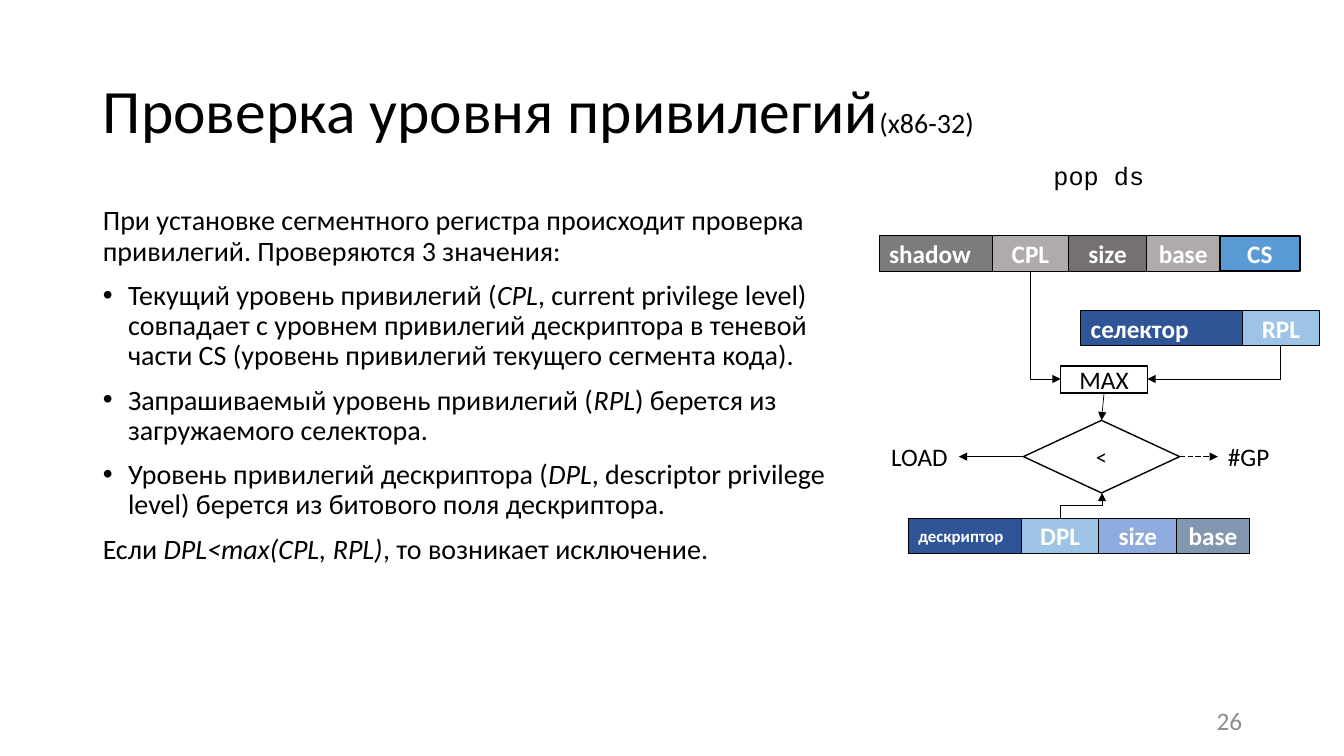
from itertools import pairwise

from pptx import Presentation
from pptx.dml.color import RGBColor
from pptx.enum.dml import MSO_LINE
from pptx.enum.shapes import MSO_CONNECTOR, MSO_SHAPE
from pptx.enum.text import MSO_ANCHOR, MSO_AUTO_SIZE, PP_ALIGN
from pptx.oxml.ns import qn
from pptx.oxml.xmlchemy import OxmlElement
from pptx.util import Inches, Pt

LEFT, MID, RIGHT = PP_ALIGN.LEFT, PP_ALIGN.CENTER, PP_ALIGN.RIGHT
RECT, DIAMOND = MSO_SHAPE.RECTANGLE, MSO_SHAPE.DIAMOND
DASH = MSO_LINE.LONG_DASH
ELBOW, STRAIGHT = MSO_CONNECTOR.ELBOW, MSO_CONNECTOR.STRAIGHT
FIT, FIXED = MSO_AUTO_SIZE.SHAPE_TO_FIT_TEXT, MSO_AUTO_SIZE.NONE
TOP, MIDDLE = MSO_ANCHOR.TOP, MSO_ANCHOR.MIDDLE

COLORS = {
    "black": "000000", "white": "FFFFFF", "mute": "8C8C8C",
    "gray": "7C7C7C", "pale": "AFABAB", "dark": "767171",
    "blue": "5B9BD5", "navy": "2F5597", "sky": "9DC3E6",
    "lilac": "8FAADC", "slate": "8497B0",
}
ROW = 0.35
ROWS = [
    (2.34, [8.72, 9.84, 10.6, 11.37, 12.1, 12.89],
     [("shadow", "gray"), ("СPL", "pale"), ("size", "dark"),
      ("base", "pale"), ("CS", "blue")]),
    (3.08, [10.72, 12.32, 13.09], [("селектор", "navy"), ("RPL", "sky")]),
    (5.14, [9.01, 10.13, 10.9, 11.67, 12.39],
     [("дескриптор", "navy"), ("DPL", "sky"), ("size", "lilac"),
      ("base", "slate")]),
]
BODY = [
    (False, "При установке сегментного регистра происходит проверка "
            "привилегий. Проверяются 3 значения:"),
    (True, "Текущий уровень привилегий (*CPL*, current privilege level) "
           "совпадает с уровнем привилегий дескриптора в теневой части CS "
           "(уровень привилегий текущего сегмента кода)."),
    (True, "Запрашиваемый уровень привилегий (*RPL*) берется из "
           "загружаемого селектора."),
    (True, "Уровень привилегий дескриптора (*DPL*, descriptor privilege "
           "level) берется из битового поля дескриптора."),
    (False, "Если *DPL<max(CPL, RPL)*, то возникает исключение."),
]


def shade(name):
    """Return the named colour."""
    return RGBColor.from_string(COLORS[name])


def apply(target, values):
    """Set attributes from a dict."""
    for key, value in values.items():
        setattr(target, key, value)


def write(para, text, size, color="black", name="Calibri", **style):
    """Add a formatted run to a paragraph."""
    run = para.add_run()
    run.text = text
    apply(run.font, {"size": Pt(size), "name": name, **style})
    run.font.color.rgb = shade(color)


def place(shape, left, top, width, height):
    """Move and size a shape in inches."""
    apply(shape, {"left": Inches(left), "top": Inches(top),
                  "width": Inches(width), "height": Inches(height)})


def set_list(para, bullet):
    """Turn the bullet and hanging indent on or off."""
    props = para._p.get_or_add_pPr()
    indent = Inches(0.25) if bullet else 0
    props.set("marL", str(indent))
    props.set("indent", str(-indent))
    mark = OxmlElement("a:buChar" if bullet else "a:buNone")
    if bullet:
        mark.set("char", "•")
    props.append(mark)


def add_title(slide):
    """Fill the title placeholder."""
    title = slide.shapes.title
    place(title, 0.92, 0.4, 11.5, 1.45)
    apply(title.text_frame, {"auto_size": FIXED, "vertical_anchor": MIDDLE})
    para = title.text_frame.paragraphs[0]
    apply(para, {"alignment": LEFT, "line_spacing": 0.9})
    write(para, "Проверка уровня привилегий", 44)
    write(para, "(х86-32)", 20)


def add_body(slide):
    """Fill the body placeholder; asterisks enclose italics."""
    body = slide.placeholders[1]
    place(body, 0.92, 2, 7.42, 4.95)
    frame = body.text_frame
    apply(frame, {"auto_size": FIXED, "vertical_anchor": TOP})
    for num, (bullet, text) in enumerate(BODY):
        para = frame.add_paragraph() if num else frame.paragraphs[0]
        set_list(para, bullet)
        apply(para, {"alignment": LEFT, "line_spacing": 0.9,
                     "space_before": Pt(10 if num else 0)})
        for part, words in enumerate(text.split("*")):
            write(para, words, 20, italic=part % 2 == 1)


def add_label(slide, text, box, align=LEFT, fit=FIT, **style):
    """Add a one-line text box."""
    label = slide.shapes.add_textbox(*map(Inches, box))
    apply(label.text_frame, {"word_wrap": fit == FIXED, "auto_size": fit,
                             "vertical_anchor": MIDDLE})
    para = label.text_frame.paragraphs[0]
    para.alignment = align
    write(para, text, 18, **style)
    return label


def add_box(slide, text, box, fill="white", kind=RECT, edge=1, size=18,
            align=MID, **style):
    """Add a filled, outlined shape with text."""
    shape = slide.shapes.add_shape(kind, *map(Inches, box))
    shape.shadow.inherit = False
    shape.fill.solid()
    shape.fill.fore_color.rgb = shade(fill)
    shape.line.color.rgb = shade("black")
    shape.line.width = Pt(edge)
    apply(shape.text_frame, {"word_wrap": True, "vertical_anchor": MIDDLE})
    para = shape.text_frame.paragraphs[0]
    para.alignment = align
    write(para, text, size, **style)
    return shape


def add_row(slide, top, edges, cells):
    """Add a register as adjoining cells."""
    for num, ((left, right), (text, fill)) in enumerate(
            zip(pairwise(edges), cells)):
        add_box(slide, text, (left, top, right - left, ROW), fill,
                edge=1.5 if text == "CS" else 0.75,
                size=12 if text == "дескриптор" else 18,
                align=MID if num else LEFT, color="white", bold=True)


def style_arrow(link, dash=None):
    """Give a connector its line and arrowhead."""
    link.line.color.rgb = shade("black")
    link.line.width = Pt(0.5)
    if dash:
        link.line.dash_style = dash
    props = link._element.spPr
    head = OxmlElement("a:tailEnd")
    head.set("type", "triangle")
    props.find(qn("a:ln")).append(head)
    props.append(OxmlElement("a:effectLst"))


def join(slide, start, side, end, goal, dash=None):
    """Link two shapes with a straight arrow."""
    link = slide.shapes.add_connector(STRAIGHT, 0, 0, 0, 0)
    link.begin_connect(start, side)
    link.end_connect(end, goal)
    style_arrow(link, dash)


def bend(slide, start, end, preset):
    """Add an elbow arrow that leaves vertically, as a quarter-turned frame."""
    (x1, y1), (x2, y2) = start, end
    cx, cy = (x1 + x2) / 2, (y1 + y2) / 2
    dx, dy = (x2 - x1) / 2, (y2 - y1) / 2
    ends = cx - dy, cy + dx, cx + dy, cy - dx
    link = slide.shapes.add_connector(ELBOW, *map(Inches, ends))
    props = link._element.spPr
    props.find(qn("a:xfrm")).set("rot", str(90 * 60000))
    props.find(qn("a:prstGeom")).set("prst", preset)
    style_arrow(link)


def main():
    """Build the slide."""
    deck = Presentation()
    apply(deck, {"slide_width": Inches(13.33), "slide_height": Inches(7.5)})
    slide = deck.slides.add_slide(deck.slide_layouts[1])
    add_title(slide)
    add_body(slide)
    add_label(slide, "26", (9.42, 6.95, 3, 0.4), RIGHT, FIXED, color="mute")
    add_label(slide, "pop ds", (10.35, 1.54, 1.11, 0.4), name="Courier New")
    for row in ROWS:
        add_row(slide, *row)
    top = add_box(slide, "MAX", (10.52, 3.63, 0.86, 0.27))
    test = add_box(slide, "<", (10.15, 4.17, 1.55, 0.72), kind=DIAMOND, size=16)
    fault = add_label(slide, "#GP", (12.08, 4.33, 0.62, 0.4))
    load = add_label(slide, "LOAD", (8.74, 4.33, 0.77, 0.4))
    join(slide, top, 2, test, 0)
    join(slide, test, 3, fault, 1, DASH)
    join(slide, test, 1, load, 3)
    bend(slide, (10.22, 2.69), (10.52, 3.76), "bentConnector2")
    bend(slide, (12.7, 3.43), (11.38, 3.76), "bentConnector2")
    bend(slide, (10.52, 5.14), (10.93, 4.89), "bentConnector3")
    deck.save("out.pptx")


if __name__ == "__main__":
    main()
